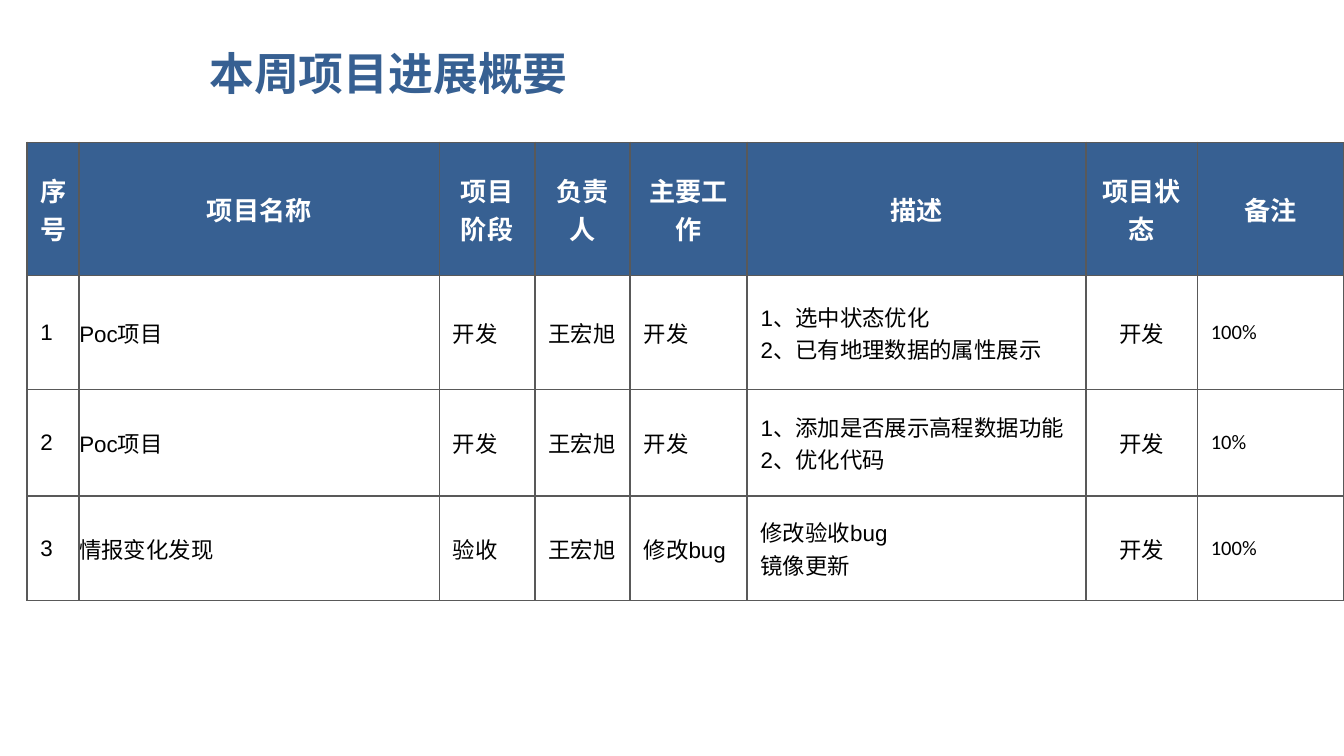
import pptx
import pptx.util
import pptx.dml.color
import pptx.enum.text
import pptx.oxml
import pptx.oxml.ns

BLUE, GRAY, WHITE, BLACK = "376092", "595959", "FFFFFF", "000000"
CJK = "Noto Sans CJK SC"
DRAWING = 'xmlns:a="http://schemas.openxmlformats.org/drawingml/2006/main"'
MIDDLE = pptx.enum.text.MSO_ANCHOR.MIDDLE
LEFT, CENTER = pptx.enum.text.PP_ALIGN.LEFT, pptx.enum.text.PP_ALIGN.CENTER
Inches = pptx.util.Inches


def style_text(frame, size, face, color, bold=False, align=LEFT):
    """Format every paragraph and run of a text frame."""
    for paragraph in frame.paragraphs:
        paragraph.alignment = align
        for run in paragraph.runs:
            run.font.size = pptx.util.Pt(size)
            run.font.name = face
            run.font.bold = bold
            run.font.color.rgb = pptx.dml.color.RGBColor.from_string(color)
            east_asian = pptx.oxml.parse_xml(f'<a:ea {DRAWING} typeface="{CJK}"/>')
            run.font._element.find(pptx.oxml.ns.qn("a:latin")).addnext(east_asian)


def add_borders(cell, color, width):
    """Draw the four edges of a table cell."""
    properties = cell._tc.get_or_add_tcPr()
    for position, edge in enumerate(("lnL", "lnR", "lnT", "lnB")):
        line = pptx.oxml.parse_xml(
            f'<a:{edge} {DRAWING} w="{pptx.util.Pt(width)}"><a:solidFill>'
            f'<a:srgbClr val="{color}"/></a:solidFill></a:{edge}>')
        properties.insert(position, line)


deck = pptx.Presentation()
deck.slide_width = Inches(10)
deck.slide_height = deck.slide_width * 9 // 16
slide = deck.slides.add_slide(deck.slide_layouts[6])

heading = slide.shapes.add_textbox(Inches(1.46), Inches(0.23), Inches(8.03), Inches(0.62)).text_frame
heading.word_wrap = True
heading.vertical_anchor = MIDDLE
heading.text = "本周项目进展概要"
style_text(heading, 24, CJK, BLUE, bold=True)

progress = [
    ["序号", "项目名称", "项目阶段", "负责人", "主要工作", "描述", "项目状态", "备注"],
    ["1", "Poc项目", "开发", "王宏旭", "开发",
     "1、选中状态优化\n2、已有地理数据的属性展示", "开发", "100%"],
    ["2", "Poc项目", "开发", "王宏旭", "开发",
     "1、添加是否展示高程数据功能\n2、优化代码", "开发", "10%"],
    ["3", "情报变化发现", "验收", "王宏旭", "修改bug",
     "修改验收bug\n镜像更新", "开发", "100%"],
]
column_widths = [0.39, 2.68, 0.71, 0.71, 0.87, 2.52, 0.83, 1.09]
row_heights = [0.99, 0.85, 0.79, 0.78]
NAME, STATUS, REMARK = 1, 6, 7

table = slide.shapes.add_table(
    len(row_heights), len(column_widths), Inches(0.2), Inches(1.06),
    Inches(sum(column_widths)), Inches(sum(row_heights))).table
table.horz_banding = False
for column, width in zip(table.columns, column_widths):
    column.width = Inches(width)
for row, height in zip(table.rows, row_heights):
    row.height = Inches(height)

for r, entries in enumerate(progress):
    for c, entry in enumerate(entries):
        cell = table.cell(r, c)
        cell.text_frame.text = entry
        cell.vertical_anchor = MIDDLE
        cell.fill.solid()
        cell.fill.fore_color.rgb = pptx.dml.color.RGBColor.from_string(WHITE if r else BLUE)
        side, edge = (0.07, 0.03) if r == 0 else (0, 0) if c == NAME else (0.1, 0.05)
        cell.margin_left = cell.margin_right = Inches(side)
        cell.margin_top = cell.margin_bottom = Inches(edge)
        if r == 0:
            style_text(cell.text_frame, 14, "Arial", WHITE, bold=True, align=CENTER)
        elif c == REMARK:
            style_text(cell.text_frame, 11, "Calibri", BLACK)
        else:
            style_text(cell.text_frame, 12, "Arial", BLACK, align=CENTER if c == STATUS else LEFT)
        add_borders(cell, GRAY, 1)

deck.save("out.pptx")
